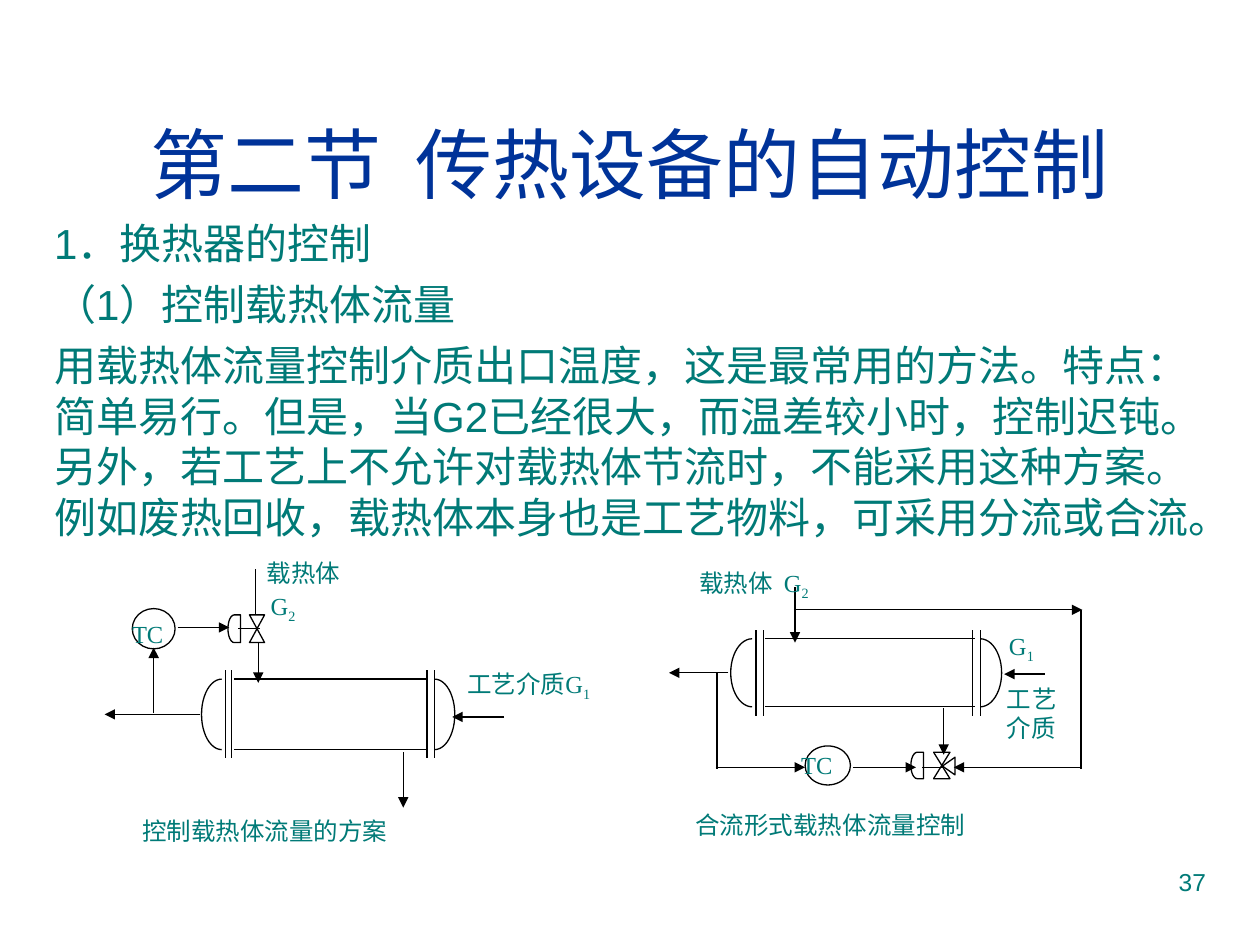
"""Build a slide on heat exchanger control with two process diagrams."""
from math import cos, pi, sin
from lxml.etree import SubElement
from pptx import Presentation
from pptx.dml.color import RGBColor
from pptx.enum.shapes import MSO_CONNECTOR, MSO_SHAPE as Kind
from pptx.enum.text import MSO_ANCHOR as Anchor, MSO_AUTO_SIZE as Auto, PP_ALIGN as Align
from pptx.oxml.ns import qn
from pptx.util import Inches, Pt

NAVY = RGBColor(0x00, 0x33, 0x99)
TEAL = RGBColor(0x00, 0x7A, 0x77)
BLACK = RGBColor(0, 0, 0)
WHITE = RGBColor(255, 255, 255)


def write(box, text, size=14, face="Times New Roman", color=TEAL,
          align=Align.JUSTIFY, anchor=Anchor.TOP, gap=0, sub=""):
    frame = box.text_frame
    frame.word_wrap = True
    frame.auto_size = Auto.NONE
    frame.vertical_anchor = anchor
    for i, line in enumerate(text.split("\n")):
        para = frame.add_paragraph() if i else frame.paragraphs[0]
        props = para._p.get_or_add_pPr()
        props.set("marL", "0")
        props.set("indent", "0")
        SubElement(props, qn("a:buNone"))
        para.alignment = align
        para.space_before = Pt(gap if i else 0)
        for part in filter(None, (line, sub)):
            run = para.add_run()
            run.text = part
            run.font.size = Pt(size)
            run.font.name = face
            run.font.color.rgb = color
            if part == sub:
                run.font._element.set("baseline", "-25000")


def draw_line(x1, y1, x2, y2, arrow=False):
    line = slide.shapes.add_connector(
        MSO_CONNECTOR.STRAIGHT, Inches(x1), Inches(y1), Inches(x2), Inches(y2))
    line.line.color.rgb = BLACK
    line.line.width = Pt(0.75)
    if arrow:
        SubElement(line.line._get_or_add_ln(), qn("a:tailEnd"), type="triangle")
    SubElement(line._element.spPr, qn("a:effectLst"))


deck = Presentation()
deck.slide_width, deck.slide_height = Inches(10), Inches(7.5)
slide = deck.slides.add_slide(deck.slide_layouts[1])

title, body = slide.placeholders
for box, top, high in ((title, 0.67, 1.25), (body, 1.68, 4.59)):
    box.left, box.top = Inches(0.33), Inches(top)
    box.width, box.height = Inches(9.34), Inches(high)
write(title, "第二节  传热设备的自动控制", size=44, face="Arial", color=NAVY,
      align=Align.CENTER, anchor=Anchor.MIDDLE)
write(body, "1．换热器的控制\n（1）控制载热体流量\n"
      "用载热体流量控制介质出口温度，这是最常用的方法。特点：简单易行。"
      "但是，当G2已经很大，而温差较小时，控制迟钝。另外，若工艺上不允许对载热体节流时，"
      "不能采用这种方案。例如废热回收，载热体本身也是工艺物料，可采用分流或合流。",
      size=24, face="Arial", align=Align.LEFT, gap=6)

tanks = (
    (1.86, 3.4, 5.39, 5.95, (1.79, 1.84, 3.39, 3.45), 1.76, 3.45, 0.16),
    (6.07, 7.74, 5.07, 5.61, (6, 6.06, 7.72, 7.78), 5.97, 7.78, 0.17),
)
for left, right, top, base, plates, west, east, deep in tanks:
    for y in (top, base):
        draw_line(left, y, right, y)
    for x in plates:
        draw_line(x, top - 0.07, x, base + 0.07)
    mid, half = (top + base) / 2, (base - top) / 2
    for x, way in ((west, -1), (east, 1)):
        dots = [(Inches(x + way * deep * sin(pi * i / 24)),
                 Inches(mid - half * cos(pi * i / 24))) for i in range(25)]
        path = slide.shapes.build_freeform(*dots[0])
        path.add_line_segments(dots[1:], close=False)
        cap = path.convert_to_shape()
        cap.shadow.inherit = False
        cap.fill.background()
        cap.line.color.rgb = BLACK
        cap.line.width = Pt(0.75)

parts = (
    (Kind.FLOWCHART_COLLATE, 1.98, 4.88, 0.12, 0.22),
    (Kind.FLOWCHART_DELAY, 1.81, 4.88, 0.1, 0.22),
    (Kind.OVAL, 1.05, 4.83, 0.34, 0.32),
    (Kind.OVAL, 6.39, 5.92, 0.36, 0.31),
    (Kind.FLOWCHART_COLLATE, 7.41, 5.97, 0.13, 0.21),
    (Kind.FLOWCHART_DELAY, 7.23, 5.97, 0.1, 0.21),
    (Kind.FLOWCHART_EXTRACT, 7.46, 6.03, 0.14, 0.1),
)
for kind, *spot in parts:
    part = slide.shapes.add_shape(kind, *map(Inches, spot))
    part.shadow.inherit = False
    part.fill.solid()
    part.fill.fore_color.rgb = WHITE
    part.line.color.rgb = BLACK
    part.line.width = Pt(0.75)
    if kind == Kind.FLOWCHART_DELAY:
        part._element.spPr.xfrm.set("flipH", "1")
    if kind == Kind.FLOWCHART_EXTRACT:
        part.rotation = 270

pipes = (
    (2.03, 4.88, 2.03, 4.52), (2.06, 4.99, 1.89, 4.99),
    (5.69, 6.1, 5.69, 5.34), (7.49, 6.09, 7.32, 6.09),
    (8.58, 4.84, 8.58, 6.1),
)
flows = (
    (4, 5.69, 3.59, 5.69), (1.59, 5.67, 0.83, 5.67),
    (3.2, 5.97, 3.2, 6.41), (2.05, 5.1, 2.05, 5.42),
    (1.41, 4.98, 1.82, 4.98), (1.22, 5.66, 1.22, 5.14),
    (8.29, 5.35, 7.97, 5.35), (5.78, 5.34, 5.31, 5.34),
    (6.31, 4.66, 6.31, 5.1), (8.58, 6.09, 7.57, 6.09),
    (6.3, 4.84, 8.59, 4.84), (7.49, 5.62, 7.49, 5.99),
    (6.77, 6.09, 7.27, 6.09), (5.68, 6.09, 6.39, 6.09),
)
for ends in pipes:
    draw_line(*ends)
for ends in flows:
    draw_line(*ends, arrow=True)

labels = (
    (2.02, 4.38, 0.89, 0.48, "载热体", ""),
    (2.05, 4.64, 0.52, 0.45, "G", "2"),
    (0.95, 4.86, 0.6, 0.48, "TC", ""),
    (1.03, 6.43, 3.17, 0.48, "控制载热体流量的方案", ""),
    (3.61, 5.26, 1.47, 0.53, "工艺介质G", "1"),
    (5.45, 4.46, 1.37, 0.54, "载热体  G", "2"),
    (7.91, 4.96, 0.54, 0.53, "G", "1"),
    (7.89, 5.38, 0.6, 0.73, "工艺介质", ""),
    (6.26, 5.9, 0.64, 0.38, "TC", ""),
    (5.42, 6.38, 3.36, 0.52, "合流形式载热体流量控制", ""),
)
for *spot, text, sub in labels:
    write(slide.shapes.add_textbox(*map(Inches, spot)), text, sub=sub)

page = slide.shapes.add_textbox(Inches(7.17), Inches(6.83), Inches(2.5), Inches(0.52))
write(page, "37", face="Arial", align=Align.RIGHT)

deck.save("out.pptx")
